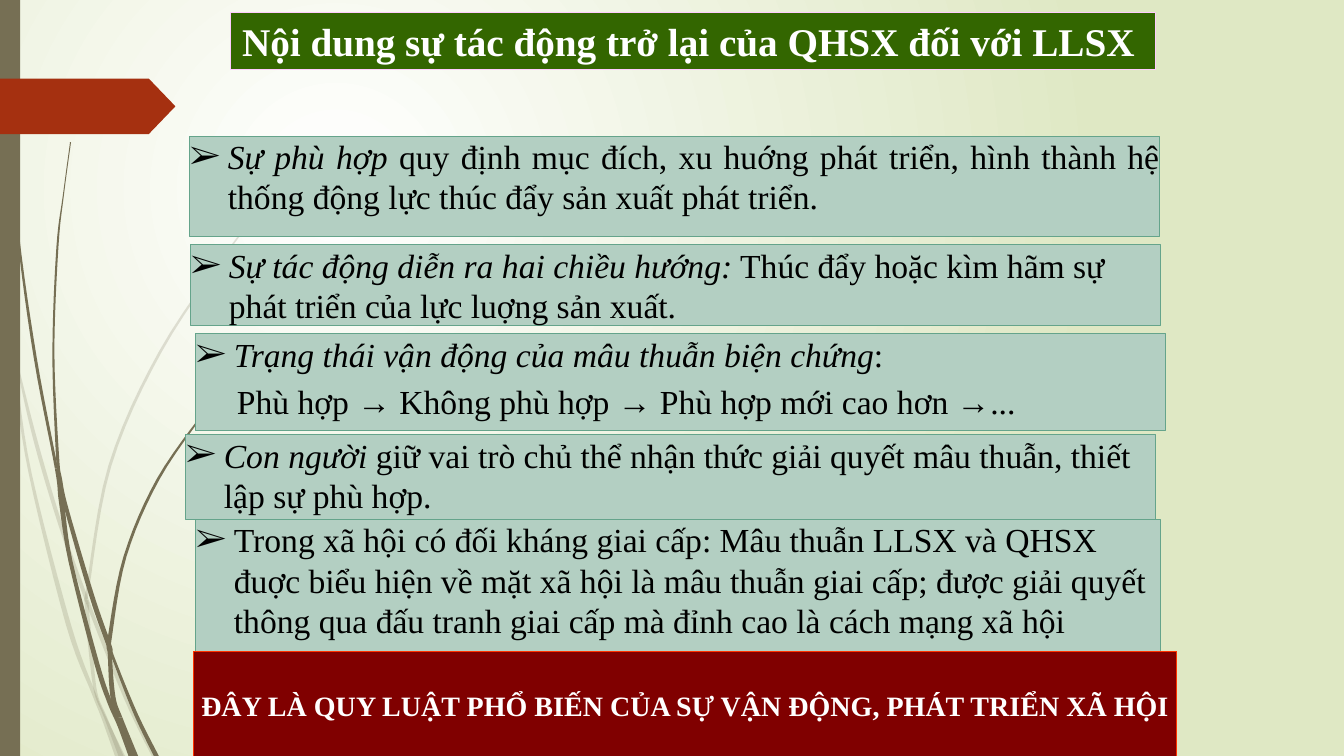
from lxml.etree import SubElement
from pptx import Presentation
from pptx.dml.color import RGBColor
from pptx.enum.shapes import MSO_SHAPE as Preset
from pptx.enum.text import MSO_ANCHOR as Anchor, PP_ALIGN as Align
from pptx.oxml.ns import qn
from pptx.util import Inches, Pt

FONT = "Times New Roman"
OLIVE = "766F54"
CURVE_STEPS = 6

# Each blade of grass: points (centre x, y, width) in inches, then the points
# at which one section of the blade ends and the next begins
PALE_BLADES = [
    ([(0.02, 2.9, 0.04), (0.1, 3.42, 0.03), (0.15, 3.73, 0.03), (0.3, 4.7, 0.03),
      (0.68, 6.2, 0.05), (0.93, 6.88, 0.04), (1.03, 7.12, 0.05), (1.19, 7.5, 0.1)],
     [1, 6]),
    ([(0.14, 3.45, 0), (0.19, 3.7, 0.02), (0.36, 4.4, 0.04), (0.6, 5.21, 0.04),
      (0.86, 5.95, 0.04), (1.25, 6.93, 0.04), (1.53, 7.5, 0.05)], [4]),
    ([(3.12, 1.53, 0.01), (2.68, 1.98, 0.02), (2.29, 2.45, 0.02), (1.59, 3.49, 0.03),
      (1.09, 4.62, 0.03), (0.87, 5.84, 0.03), (0.86, 5.99, 0.04), (0.9, 6.46, 0.04),
      (0.95, 6.87, 0.03), (1.04, 7.1, 0.03), (1.2, 7.5, 0.05)], [5, 6, 9]),
]
DARK_BLADES = [
    ([(0.04, 0, 0.01), (0.05, 0.48, 0.01), (0.08, 1.1, 0.01), (0.18, 2.33, 0.02),
      (0.35, 3.55, 0.03), (0.56, 4.65, 0.03), (0.61, 4.98, 0.05), (0.7, 5.57, 0.04),
      (0.96, 6.58, 0.05), (1.09, 6.97, 0.05), (1.19, 7.2, 0.05), (1.32, 7.5, 0.09)],
     [5, 10]),
    ([(0.7, 1.41, 0.01), (0.63, 1.93, 0.01), (0.57, 2.45, 0.02), (0.53, 3.49, 0.02),
      (0.57, 4.51, 0.03), (0.6, 4.75, 0.03), (0.66, 5.05, 0.04), (0.91, 5.91, 0.05),
      (1.08, 6.4, 0.05), (1.12, 6.52, 0.03), (1.34, 7.07, 0.04), (1.55, 7.5, 0.05)],
     [5, 8]),
    ([(2.6, 3.44, 0.01), (2.31, 3.74, 0.02), (2.05, 4.06, 0.02), (1.57, 4.75, 0.03),
      (1.24, 5.52, 0.03), (1.09, 6.32, 0.04), (1.09, 6.5, 0.04), (1.12, 6.91, 0.05),
      (1.19, 7.12, 0.05), (1.34, 7.5, 0.06)], [5, 6, 8]),
]

# Box (left, top, width, height), emphasised opening, rest, alignment, second line
POINTS = [
    ((1.88, 1.35, 9.62, 1), "Sự phù hợp",
     " quy định mục đích, xu huớng phát triển, hình thành hệ thống động lực "
     "thúc đẩy sản xuất phát triển.", Align.JUSTIFY, ""),
    ((1.89, 2.43, 9.62, 0.8), "Sự tác động diễn ra hai chiều hướng:",
     " Thúc đẩy hoặc kìm hãm sự phát triển của lực luợng sản xuất.", Align.LEFT, ""),
    ((1.94, 3.31, 9.62, 0.96), "Trạng thái vận động của mâu thuẫn biện chứng", ":",
     Align.LEFT, "Phù hợp → Không phù hợp → Phù hợp mới cao hơn →..."),
    ((1.84, 4.31, 9.62, 0.84), "Con người ",
     "giữ vai trò chủ thể nhận thức giải quyết mâu thuẫn, thiết lập sự phù hợp.",
     Align.LEFT, ""),
    ((1.94, 5.15, 9.57, 1.31), "",
     "Trong xã hội có đối kháng giai cấp: Mâu thuẫn LLSX và QHSX đuợc biểu hiện về "
     "mặt xã hội là mâu thuẫn giai cấp; được giải quyết thông qua đấu tranh giai cấp "
     "mà đỉnh cao là cách mạng xã hội", Align.LEFT, ""),
]


def rgb(value):
    return RGBColor.from_string(value)


def paint(shape, fill, line=None):
    shape.shadow.inherit = False
    shape.fill.solid()
    shape.fill.fore_color.rgb = rgb(fill)
    if line:
        shape.line.color.rgb = rgb(line)
        shape.line.width = Pt(0.75)
    else:
        shape.line.fill.background()


def add_box(slide, box, fill, line=None, preset=Preset.RECTANGLE,
            anchor=Anchor.TOP, inset=0):
    shape = slide.shapes.add_shape(preset, *map(Inches, box))
    paint(shape, fill, line)
    frame = shape.text_frame
    frame.word_wrap = True
    frame.vertical_anchor = anchor
    frame.margin_left = frame.margin_right = Inches(inset)
    frame.margin_top = frame.margin_bottom = Inches(inset / 2)
    return shape


def add_text(paragraph, text, size=24, color="000000", bold=False, italic=False):
    run = paragraph.add_run()
    run.text = text
    font = run.font
    font.name, font.size = FONT, Pt(size)
    font.bold, font.italic = bold, italic
    font.color.rgb = rgb(color)


def indent(paragraph, left, bullet=None):
    properties = paragraph._p.get_or_add_pPr()
    properties.set("marL", str(Inches(left)))
    properties.set("indent", str(-Inches(left) if bullet else 0))
    if bullet:
        SubElement(properties, qn("a:buFont"), typeface=FONT)
        SubElement(properties, qn("a:buChar"), char=bullet)


def smooth_points(points):
    """Catmull-Rom curve through the points."""
    padded = [points[0], *points, points[-1]]
    for a, b, c, d in zip(padded, padded[1:], padded[2:], padded[3:]):
        for step in range(CURVE_STEPS):
            t = step / CURVE_STEPS
            yield tuple(
                (2 * q + (r - p) * t + (2 * p - 5 * q + 4 * r - s) * t ** 2
                 + (3 * q - p - 3 * r + s) * t ** 3) / 2
                for p, q, r, s in zip(a, b, c, d))
    yield points[-1]


def add_blade(slide, points, joints, opacity):
    curve = list(smooth_points(points))
    ends = [0, *joints, len(points) - 1]
    for first, last in zip(ends, ends[1:]):
        section = curve[first * CURVE_STEPS:last * CURVE_STEPS + 1]
        left = [(Inches(x - w / 2), Inches(y)) for x, y, w in section]
        right = [(Inches(x + w / 2), Inches(y)) for x, y, w in reversed(section)]
        outline = left + right
        builder = slide.shapes.build_freeform(*outline[0], scale=1.0)
        builder.add_line_segments(outline[1:], close=True)
        blade = builder.convert_to_shape()
        paint(blade, OLIVE)
        if opacity < 100:
            color = blade._element.spPr.find(qn("a:solidFill"))[0]
            SubElement(color, qn("a:alpha"), val=str(opacity * 1000))


def add_backdrop(slide):
    # Radial glow
    fill = slide.background.fill
    fill.gradient()
    for stop, color, position in zip(fill.gradient_stops, ("FFFFFF", "DFE8C4"), (0, 1)):
        stop.color.rgb = rgb(color)
        stop.position = position
    linear = next(slide.element.iter(qn("a:lin")))
    gradient = linear.getparent()
    gradient.remove(linear)
    circle = SubElement(gradient, qn("a:path"), {"path": "circle"})
    SubElement(circle, qn("a:fillToRect"), l="50000", t="50000", r="100000", b="100000")

    # Grass, side bar and flag
    for blades, opacity in ((PALE_BLADES, 20), (DARK_BLADES, 100)):
        for points, joints in blades:
            add_blade(slide, points, joints, opacity)
    add_box(slide, (0, 0, 0.2, 7.5), OLIVE)
    flag = add_box(slide, (0, 0.78, 1.74, 0.55), "A53010", preset=Preset.PENTAGON)
    flag.adjustments[0] = 0.48


def add_banner(slide, box, text, fill, line, size, **layout):
    banner = add_box(slide, box, fill, line, **layout)
    paragraph = banner.text_frame.paragraphs[0]
    paragraph.alignment = Align.CENTER
    add_text(paragraph, text, size=size, color="FFFFFF", bold=True)


def add_point(slide, box, opening, rest, alignment, second_line):
    frame = add_box(slide, box, "B3CFC2", "65A48B").text_frame
    point = frame.paragraphs[0]
    point.alignment = alignment
    indent(point, 0.38, bullet="➢")
    if opening:
        add_text(point, opening, italic=True)
    add_text(point, rest)
    if second_line:
        stages = frame.add_paragraph()
        stages.alignment = alignment
        stages.space_before = Pt(4.8)
        indent(stages, 0.41)
        add_text(stages, second_line)


def main():
    deck = Presentation()
    deck.slide_width, deck.slide_height = Inches(13.33), Inches(7.5)
    slide = deck.slides.add_slide(deck.slide_layouts[6])
    add_backdrop(slide)
    add_banner(slide, (2.29, 0.12, 9.17, 0.57),
               "Nội dung sự tác động trở lại của QHSX đối với LLSX ",
               "336600", "FFCCFF", 28, inset=0.1)
    for point in POINTS:
        add_point(slide, *point)
    add_banner(slide, (1.92, 6.46, 9.75, 1.07),
               "ĐÂY LÀ QUY LUẬT PHỔ BIẾN CỦA SỰ VẬN ĐỘNG, PHÁT TRIỂN XÃ HỘI",
               "800000", "FF3300", 20, anchor=Anchor.MIDDLE)
    deck.save("out.pptx")


if __name__ == "__main__":
    main()
